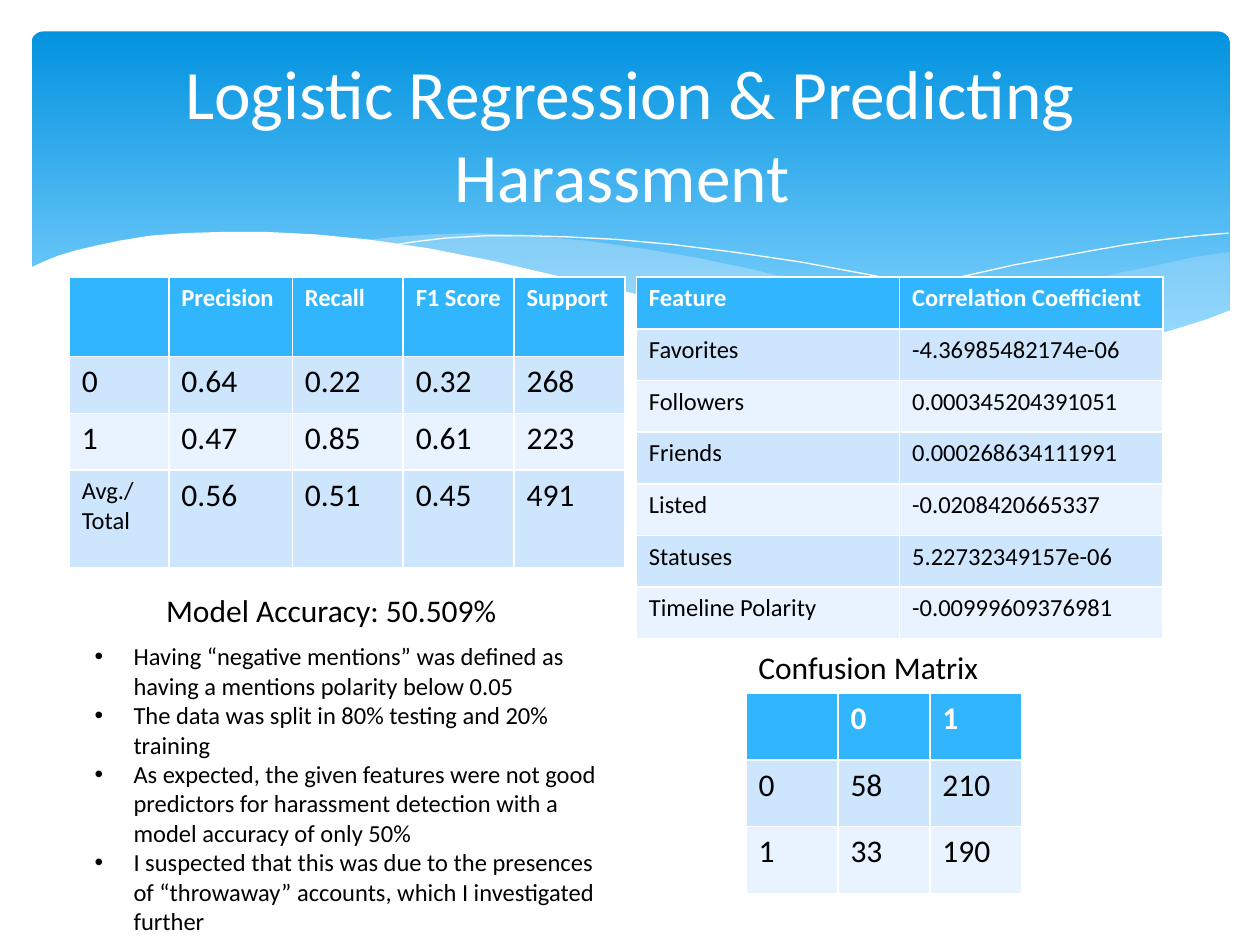
"""Build the slide on logistic regression and predicting harassment."""
from pptx import Presentation, util as u
from pptx.dml.color import RGBColor
from pptx.enum import shapes, text
from pptx.oxml.ns import qn
from lxml import etree

FONT = "Calibri"
COLORS = {
    "white": "FFFFFF", "black": "000000", "sky_top": "0293E0", "sky_bottom": "83D3FE",
    "mist": "C6E7FC", "header": "31B6FD", "band_dark": "CEE5FE", "band_light": "E8F3FF",
}

RIGHT_WAVE = [
    (975, 200), (948, 204), (921, 210), (891, 216), (861, 223), (805, 237), (753, 248),
    (706, 257), (661, 265), (691, 269), (719, 272), (745, 275), (769, 277), (803, 278),
    (835, 277), (863, 275), (889, 272), (913, 267), (935, 262), (949, 257), (963, 252),
    (976, 247), (976, 200)]
MIDDLE_WAVE = [
    (893, 273), (866, 269), (807, 260), (741, 247), (668, 231), (598, 214), (555, 205),
    (514, 198), (465, 191), (420, 187), (380, 185), (344, 186), (313, 188), (286, 191),
    (323, 196), (362, 203), (404, 211), (449, 222), (530, 240), (601, 255), (650, 264),
    (695, 270), (736, 275), (773, 277), (807, 278), (838, 278), (867, 276), (893, 273)]
LONG_CREST = [
    (309, 195), (328, 192), (353, 189), (387, 187), (416, 187), (450, 188), (489, 190),
    (533, 194), (582, 200), (636, 208), (695, 219), (760, 233), (831, 251), (907, 272)]
RIGHT_CREST = [
    (613, 257), (653, 246), (695, 235), (748, 223), (806, 210), (866, 199), (895, 194),
    (924, 190), (951, 187), (975, 185)]
WHITE_WAVE = [
    (977, 246), (959, 253), (940, 259), (920, 265), (899, 269), (875, 273), (850, 275),
    (823, 277), (793, 276), (761, 275), (726, 272), (688, 268), (648, 262), (603, 254),
    (555, 245), (503, 233), (447, 220), (391, 207), (340, 197), (292, 190), (250, 186),
    (211, 184), (177, 184), (146, 185), (119, 187), (95, 191), (76, 195), (59, 199),
    (46, 203), (36, 207), (23, 213), (23, 329), (977, 329), (977, 246)]

FEATURES = [
    ["Feature", "Correlation Coefficient"],
    ["Favorites", "-4.36985482174e-06"],
    ["Followers", "0.000345204391051"],
    ["Friends", "0.000268634111991"],
    ["Listed", "-0.0208420665337"],
    ["Statuses", "5.22732349157e-06"],
    ["Timeline Polarity", "-0.00999609376981"]]
SCORES = [
    ["", "Precision", "Recall", "F1 Score", "Support"],
    ["0", "0.64", "0.22", "0.32", "268"],
    ["1", "0.47", "0.85", "0.61", "223"],
    ["Avg./Total", "0.56", "0.51", "0.45", "491"]]
CONFUSION = [["", "0", "1"], ["0", "58", "210"], ["1", "33", "190"]]
FINDINGS = [
    "Having “negative mentions” was defined as having a mentions polarity below 0.05",
    "The data was split in 80% testing and 20% training",
    "As expected, the given features were not good predictors for harassment detection "
    "with a model accuracy of only 50%",
    "I suspected that this was due to the presences of “throwaway” accounts, "
    "which I investigated further"]


def color(name):
    """Return a named colour."""
    return RGBColor.from_string(COLORS[name])


def set_font(para, size, name="black", bold=False):
    """Format a whole paragraph."""
    para.font.name = FONT
    para.font.size = u.Pt(size)
    para.font.bold = bold
    para.font.color.rgb = color(name)


def place(item, left, top, width, height):
    """Move and size a shape, in inches."""
    item.left, item.top = u.Inches(left), u.Inches(top)
    item.width, item.height = u.Inches(width), u.Inches(height)


def add_sky(page):
    """Add the rounded gradient panel."""
    sky = page.shapes.add_shape(
        shapes.MSO_SHAPE.ROUNDED_RECTANGLE,
        u.Inches(0.25), u.Inches(0.25), u.Inches(9.51), u.Inches(2.7))
    sky.adjustments[0] = 0.034
    sky.shadow.inherit = False
    sky.line.fill.background()
    sky.fill.gradient()
    sky.fill.gradient_angle = 270
    stops = zip(sky.fill.gradient_stops, ("sky_top", "sky_bottom"), (0, 0.9))
    for stop, name, position in stops:
        stop.color.rgb = color(name)
        stop.position = position


def add_outline(page, points, closed):
    """Draw a freeform through points given in hundredths of an inch."""
    builder = page.shapes.build_freeform(*points[0], scale=u.Inches(0.01))
    builder.add_line_segments(points[1:], close=closed)
    outline = builder.convert_to_shape()
    outline.shadow.inherit = False
    return outline


def add_wave(page, points, name, opacity=100):
    """Add a filled wave."""
    wave = add_outline(page, points, True)
    wave.line.fill.background()
    wave.fill.solid()
    wave.fill.fore_color.rgb = color(name)
    if opacity < 100:
        tint = wave.element.xpath("./p:spPr/a:solidFill/a:srgbClr")[0]
        etree.SubElement(tint, qn("a:alpha")).set("val", str(opacity * 1000))


def add_crest(page, points):
    """Add a white hairline."""
    crest = add_outline(page, points, False)
    crest.fill.background()
    crest.line.color.rgb = color("white")
    crest.line.width = u.Pt(0)


def add_grid(page, left, top, widths, heights, rows, header_size, body_size):
    """Add a banded table with a header row."""
    table = page.shapes.add_table(
        len(rows), len(widths), u.Inches(left), u.Inches(top),
        u.Inches(sum(widths)), u.Inches(sum(heights))).table
    for column, width in zip(table.columns, widths):
        column.width = u.Inches(width)
    for index, (row, height, values) in enumerate(zip(table.rows, heights, rows)):
        row.height = u.Inches(height)
        band = "band_dark" if index % 2 else "band_light"
        for cell, value in zip(row.cells, values):
            cell.fill.solid()
            cell.fill.fore_color.rgb = color(band if index else "header")
            cell.text = value
            para = cell.text_frame.paragraphs[0]
            if index:
                set_font(para, body_size)
            else:
                set_font(para, header_size, "white", True)
    return table


def add_label(page, left, top, width, words, wrap=True):
    """Add a one-line caption."""
    box = page.shapes.add_textbox(
        u.Inches(left), u.Inches(top), u.Inches(width), u.Inches(0.4))
    box.text_frame.word_wrap = wrap
    box.text_frame.auto_size = text.MSO_AUTO_SIZE.SHAPE_TO_FIT_TEXT
    box.text_frame.text = words
    set_font(box.text_frame.paragraphs[0], 18)


def fill_title(title, words):
    """Fill and format the title."""
    place(title, 0.5, 0.37, 9, 1.37)
    frame = title.text_frame
    frame.text = words
    frame.word_wrap = True
    frame.auto_size = text.MSO_AUTO_SIZE.NONE
    frame.vertical_anchor = text.MSO_ANCHOR.MIDDLE
    frame.paragraphs[0].alignment = text.PP_ALIGN.CENTER
    set_font(frame.paragraphs[0], 39.6, "white")


def fill_list(body, items):
    """Fill and format the bulleted list."""
    place(body, 0.65, 5.04, 4.33, 2.46)
    frame = body.text_frame
    frame.text = "\n".join(items)
    frame.word_wrap = True
    frame.auto_size = text.MSO_AUTO_SIZE.NONE
    frame.vertical_anchor = text.MSO_ANCHOR.TOP
    for para in frame.paragraphs:
        set_font(para, 14)
        para.space_before = u.Pt(0)
        layout = para._p.get_or_add_pPr()
        layout.set("marL", str(u.Inches(0.31)))
        layout.set("indent", str(-u.Inches(0.31)))
        etree.SubElement(layout, qn("a:buFont")).set("typeface", "Arial")
        etree.SubElement(layout, qn("a:buChar")).set("char", "•")
        layout.append(layout.find(qn("a:defRPr")))


def main():
    """Build and save the deck."""
    deck = Presentation()
    deck.slide_width, deck.slide_height = u.Inches(10), u.Inches(7.5)
    page = deck.slides.add_slide(deck.slide_layouts[1])
    title, body = page.placeholders
    add_sky(page)
    add_wave(page, RIGHT_WAVE, "mist", 29)
    add_wave(page, MIDDLE_WAVE, "mist", 40)
    add_crest(page, LONG_CREST)
    add_crest(page, RIGHT_CREST)
    add_wave(page, WHITE_WAVE, "white")
    page.shapes.element.append(title.element)
    fill_title(title, "Logistic Regression & Predicting Harassment ")
    add_grid(page, 5.05, 2.2, [2.09] * 2, [0.41] * 7, FEATURES, 14, 14)
    scores = add_grid(page, 0.55, 2.2, [0.79, 0.98] + [0.88] * 3,
                      [0.63, 0.45, 0.45, 0.78], SCORES, 14, 18)
    set_font(scores.cell(3, 0).text_frame.paragraphs[0], 14)
    add_label(page, 1.22, 4.64, 2.9, "Model Accuracy: 50.509%")
    add_grid(page, 5.92, 5.5, [0.73] * 3, [0.53] * 3, CONFUSION, 18, 18)
    add_label(page, 5.92, 5.09, 2.03, "Confusion Matrix", wrap=False)
    page.shapes.element.append(body.element)
    fill_list(body, FINDINGS)
    deck.save("out.pptx")


main()
